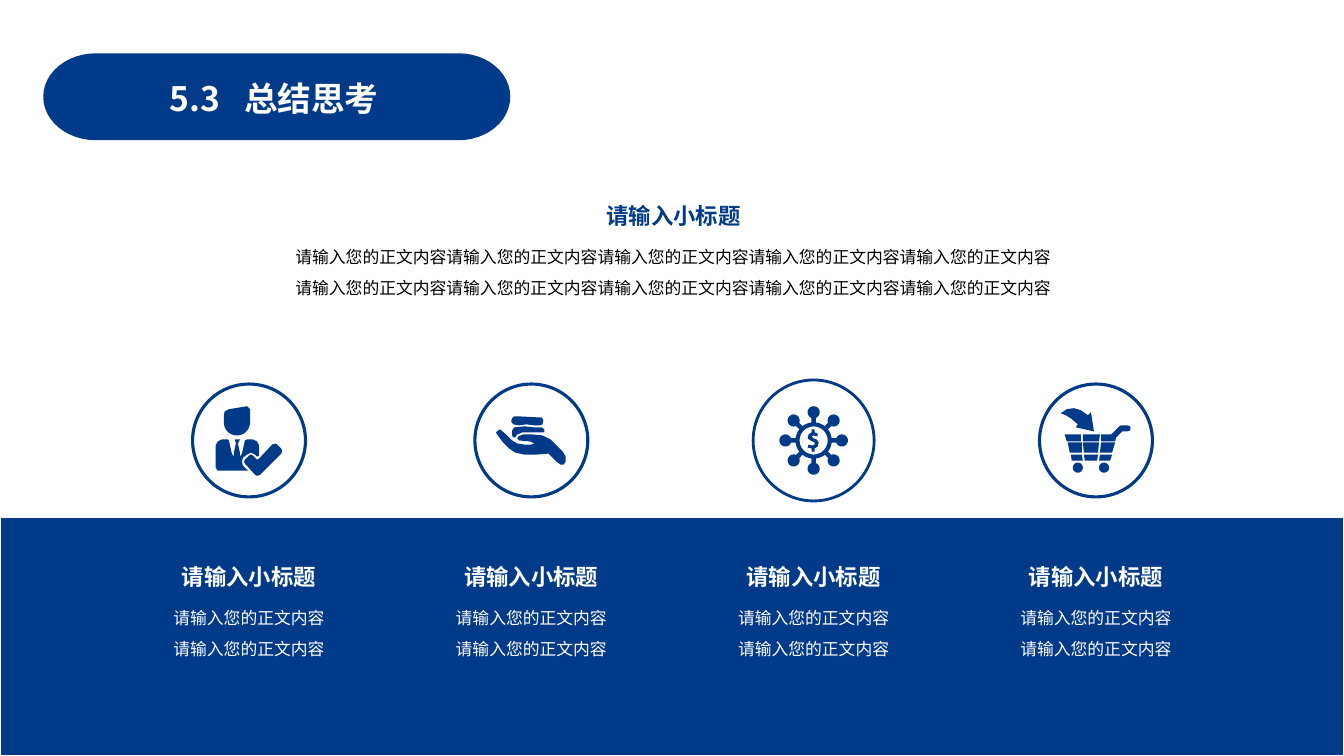
from math import cos, radians, sin

from lxml.etree import SubElement
from pptx import Presentation
from pptx.dml.color import RGBColor
from pptx.enum.shapes import MSO_SHAPE
from pptx.enum.text import MSO_ANCHOR, PP_ALIGN
from pptx.oxml.ns import qn
from pptx.util import Inches, Pt

NAVY = RGBColor(0x01, 0x3A, 0x89)
WHITE = RGBColor(0xFF, 0xFF, 0xFF)
BLACK = RGBColor(0, 0, 0)
FONT = "Noto Sans CJK SC"
HEAD = "请输入小标题"
BODY = "请输入您的正文内容"
FIRST, STEP, MIDDLE = 2.47, 2.8, 4.37


def arc(x, y, rx, ry, start, end, count=24):
    turns = [radians(start + (end - start) * i / count) for i in range(count + 1)]
    return [(x + rx * cos(t), y + ry * sin(t)) for t in turns]


def disc(x, y, radius):
    return arc(x, y, radius, radius, 0, 360)


def person():
    head = arc(2.35, 4.19, 0.13, 0.13, 0, 180) + [
        (2.22, 4.12), (2.23, 4.08), (2.27, 4.06), (2.45, 4.03), (2.48, 4.06)]
    suit = [
        (2.2, 4.36), (2.26, 4.36), (2.27, 4.37), (2.3, 4.5), (2.32, 4.53),
        (2.32, 4.49), (2.34, 4.4), (2.33, 4.36), (2.38, 4.36), (2.36, 4.4),
        (2.38, 4.49), (2.38, 4.53), (2.4, 4.5), (2.43, 4.37), (2.45, 4.36),
        (2.51, 4.36), (2.55, 4.38), (2.57, 4.42), (2.57, 4.52), (2.55, 4.53),
        (2.53, 4.51), (2.49, 4.49), (2.45, 4.51), (2.41, 4.54), (2.4, 4.58),
        (2.41, 4.62), (2.46, 4.67), (2.16, 4.67), (2.14, 4.64), (2.14, 4.42),
        (2.16, 4.38)]
    tick = [
        (2.73, 4.4), (2.75, 4.41), (2.79, 4.45), (2.8, 4.47), (2.79, 4.5),
        (2.58, 4.71), (2.55, 4.72), (2.53, 4.71), (2.43, 4.6), (2.42, 4.58),
        (2.43, 4.56), (2.47, 4.52), (2.49, 4.51), (2.51, 4.52), (2.55, 4.56),
        (2.57, 4.55), (2.7, 4.41)]
    return [head, suit, tick]


def hand():
    palm = [
        (4.96, 4.26), (5.02, 4.31), (5.08, 4.37), (5.13, 4.4), (5.2, 4.41),
        (5.27, 4.41), (5.3, 4.4), (5.26, 4.38), (5.15, 4.37), (5.13, 4.35),
        (5.14, 4.33), (5.19, 4.31), (5.28, 4.31), (5.38, 4.32), (5.46, 4.36),
        (5.52, 4.42), (5.58, 4.48), (5.61, 4.53), (5.61, 4.58), (5.59, 4.61),
        (5.56, 4.61), (5.52, 4.58), (5.44, 4.5), (5.32, 4.51), (5.2, 4.51),
        (5.11, 4.49), (5.05, 4.45), (4.99, 4.39), (4.93, 4.31), (4.92, 4.29),
        (4.94, 4.27)]
    lower = [
        (5.1, 4.24), (5.2, 4.23), (5.3, 4.24), (5.37, 4.24), (5.4, 4.26),
        (5.4, 4.28), (5.39, 4.29), (5.3, 4.29), (5.18, 4.29), (5.13, 4.31),
        (5.11, 4.34), (5.09, 4.34), (5.08, 4.32), (5.08, 4.27)]
    upper = [
        (5.13, 4.13), (5.32, 4.14), (5.37, 4.14), (5.39, 4.17), (5.38, 4.21),
        (5.36, 4.22), (5.3, 4.22), (5.22, 4.21), (5.15, 4.22), (5.09, 4.21),
        (5.07, 4.18), (5.08, 4.15), (5.1, 4.13)]
    return [palm, lower, upper]


def network():
    x, y = 8.07, MIDDLE
    rim = []
    for turn in range(0, 360, 45):
        angle = radians(turn)
        node = x + 0.28 * cos(angle), y + 0.28 * sin(angle)
        rim += arc(*node, 0.06, 0.06, turn - 158, turn + 158)
        rim += arc(x, y, 0.18, 0.18, turn + 7, turn + 38, 6)
    dollar = [
        (8.05, 4.26), (8.08, 4.26), (8.08, 4.29), (8.11, 4.3), (8.11, 4.33),
        (8.07, 4.32), (8.05, 4.33), (8.07, 4.35), (8.1, 4.36), (8.12, 4.39),
        (8.11, 4.43), (8.08, 4.45), (8.08, 4.48), (8.05, 4.48), (8.05, 4.45),
        (8.01, 4.44), (8.02, 4.41), (8.06, 4.42), (8.08, 4.41), (8.08, 4.39),
        (8.04, 4.37), (8.01, 4.35), (8.02, 4.31), (8.05, 4.29)]
    return [rim, disc(x, y, 0.14), dollar]


def cart():
    rows = [
        (4.31, 4.38, [(10.56, 10.72, 10.72, 10.58), (10.74, 10.91, 10.9, 10.74)]),
        (4.39, 4.49, [(10.59, 10.73, 10.73, 10.61), (10.74, 10.9, 10.89, 10.75),
                      (10.92, 11.06, 11.03, 10.91)]),
        (4.51, 4.57, [(10.62, 10.73, 10.74, 10.63), (10.75, 10.89, 10.88, 10.76),
                      (10.91, 11.03, 11.01, 10.9)])]
    cells = [list(zip(xs, (top, top, low, low)))
             for top, low, row in rows for xs in row]
    handle = [
        (10.92, 4.31), (11.02, 4.31), (11.1, 4.23), (11.12, 4.22), (11.18, 4.22),
        (11.21, 4.23), (11.21, 4.27), (11.18, 4.28), (11.13, 4.28),
        (11.07, 4.34), (11.06, 4.38), (10.92, 4.38)]
    arrow = [
        (10.52, 4.1), (10.58, 4.06), (10.65, 4.05), (10.72, 4.07), (10.79, 4.12),
        (10.82, 4.09), (10.85, 4.28), (10.67, 4.24), (10.69, 4.21),
        (10.62, 4.15), (10.57, 4.12)]
    wheels = [disc(x, 4.64, 0.05) for x in (10.69, 10.95)]
    return cells + wheels + [handle, arrow]


def paint(shape, fill=None, line=None, width=1):
    shape.shadow.inherit = False
    for part, color in ((shape.fill, fill), (shape.line.fill, line)):
        if color is None:
            part.background()
        else:
            part.solid()
            part.fore_color.rgb = color
    if line is not None:
        shape.line.width = Pt(width)


def trace(slide, paths, line=None, width=1):
    paths = [[(Inches(x), Inches(y)) for x, y in path] for path in paths]
    pen = slide.shapes.build_freeform(*paths[0][0], scale=1.0)
    for index, path in enumerate(paths):
        if index:
            pen.move_to(*path[0])
        pen.add_line_segments(path[1:], close=True)
    paint(pen.convert_to_shape(), NAVY, line, width)


def form(slide, kind, left, top, width, height):
    return slide.shapes.add_shape(
        kind, Inches(left), Inches(top), Inches(width), Inches(height))


def style(para, size, color, bold):
    for run in para.runs:
        font = run.font
        font.name, font.size, font.bold = FONT, Pt(size), bold
        font.color.rgb = color
        SubElement(font._element, qn("a:ea"), typeface=FONT)


def caption(slide, left, top, width, height, lines, tint, ink):
    box = slide.shapes.add_textbox(
        Inches(left), Inches(top), Inches(width), Inches(height))
    frame = box.text_frame
    frame.word_wrap = True
    frame.text = "\n".join([HEAD] + lines)
    for index, para in enumerate(frame.paragraphs):
        para.alignment = PP_ALIGN.CENTER
        para.line_spacing = 1.5
        if index:
            style(para, 12, ink, False)
        else:
            para.space_after = Pt(6)
            style(para, 16, tint, True)


def banner(slide):
    pill = arc(4.55, 0.96, 0.49, 0.41, -90, 90) + arc(0.95, 0.96, 0.5, 0.41, 90, 270)
    trace(slide, [pill], NAVY, 3)
    title = slide.shapes.title
    title.left, title.top = Inches(1.51), Inches(0.72)
    title.width, title.height = Inches(2.41), Inches(0.5)
    frame = title.text_frame
    frame.text = "5.3\t总结思考"
    frame.word_wrap = False
    frame.margin_left = Inches(0.17)
    frame.vertical_anchor = MSO_ANCHOR.MIDDLE
    para = frame.paragraphs[0]
    para.alignment = PP_ALIGN.LEFT
    tabs = SubElement(para._p.get_or_add_pPr(), qn("a:tabLst"))
    SubElement(tabs, qn("a:tab"), pos=str(Inches(0.74)), algn="l")
    style(para, 24, WHITE, True)
    slide.shapes._spTree.append(title._element)


def main():
    deck = Presentation()
    deck.slide_width, deck.slide_height = Inches(13.33), Inches(7.5)
    slide = deck.slides.add_slide(deck.slide_layouts[5])
    paint(form(slide, MSO_SHAPE.RECTANGLE, 0, 5.13, 13.33, 2.37), NAVY, WHITE)
    banner(slide)
    caption(slide, 1.93, 1.82, 9.5, 1.5, [BODY * 5] * 2, NAVY, BLACK)
    icons = [(person, 1.12, 2.25), (hand, 1.12, 2.25),
             (network, 1.2, 2), (cart, 1.12, 2.25)]
    for index, (icon, size, width) in enumerate(icons):
        x = FIRST + index * STEP
        ring = form(slide, MSO_SHAPE.OVAL, x - size / 2, MIDDLE - size / 2, size, size)
        paint(ring, None, NAVY, width)
        trace(slide, icon())
        caption(slide, x - 1.02, 5.4, 2.04, 1.19, [BODY] * 2, WHITE, WHITE)
    deck.save("out.pptx")


if __name__ == "__main__":
    main()
